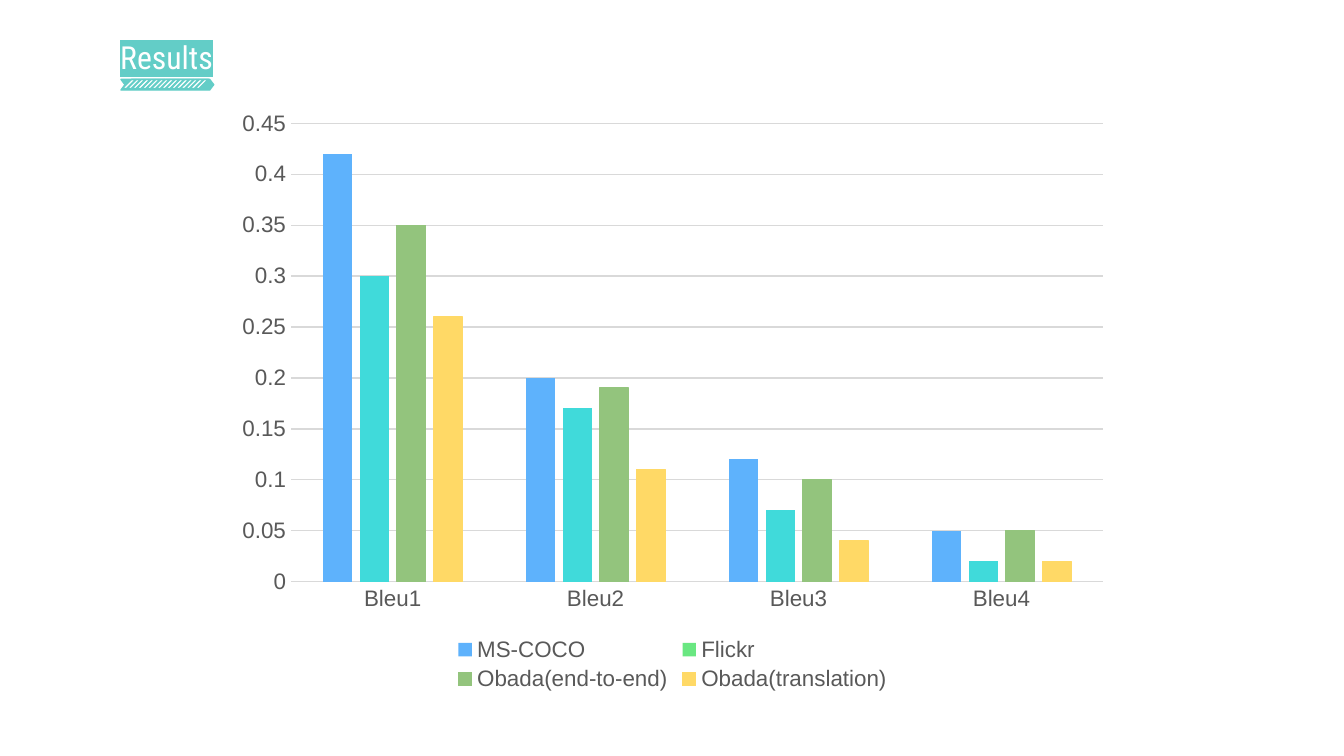
from lxml.etree import SubElement
from pptx import Presentation
from pptx.chart.data import CategoryChartData
from pptx.dml.color import RGBColor
from pptx.enum.chart import XL_CHART_TYPE as ChartType, XL_LEGEND_POSITION as LegendPosition, XL_TICK_MARK as TickMark
from pptx.enum.text import MSO_ANCHOR as Anchor, PP_ALIGN as Align
from pptx.oxml.ns import qn
from pptx.util import Inches, Pt

TEAL = "63CDC7"
GRAY = "595959"
GRID = "D9D9D9"
METRICS = ["Bleu1", "Bleu2", "Bleu3", "Bleu4"]
SCORES = [
    ("MS-COCO", [0.42, 0.2, 0.12, 0.05], "5EB2FC"),
    ("Flickr", [0.3, 0.17, 0.07, 0.02], "69E781"),
    ("Obada(end-to-end)", [0.35, 0.19, 0.1, 0.05], "93C47D"),
    ("Obada(translation)", [0.26, 0.11, 0.04, 0.02], "FFD966"),
]
FLICKR_BARS = "40DADA"
OUTLINED = ("Obada(end-to-end)", "Obada(translation)")


def rgb(code):
    """Turn a hex string into a colour."""
    return RGBColor.from_string(code)


def paint(part, code):
    """Give a fill one solid colour."""
    part.fill.solid()
    part.fill.fore_color.rgb = rgb(code)


def stroke(line, code):
    """Draw a line in one colour at the common width."""
    line.color.rgb = rgb(code)
    line.width = Pt(0.75)


def style_font(font, size, code, name="Arial"):
    """Set size, colour and typeface of a font."""
    font.size = Pt(size)
    font.color.rgb = rgb(code)
    font.name = name


def add_heading(slide, text):
    """Add the centred heading with its highlighted words."""
    heading = slide.shapes.add_textbox(Inches(0.52), Inches(0.24), Inches(1.44), Inches(0.36))
    frame = heading.text_frame
    frame.word_wrap = True
    frame.vertical_anchor = Anchor.MIDDLE
    frame.margin_left = frame.margin_right = Inches(0.1)
    frame.margin_top = frame.margin_bottom = Inches(0.1)
    frame.text = text
    paragraph = frame.paragraphs[0]
    paragraph.alignment = Align.CENTER
    words = paragraph.runs[0]
    style_font(words.font, 17, "FFFFFF", "Roboto Condensed")
    properties = words.font.fill._xPr
    highlight = SubElement(properties, qn("a:highlight"))
    SubElement(highlight, qn("a:srgbClr"), val=TEAL)
    properties.find(qn("a:solidFill")).addnext(highlight)


def add_ribbon(slide):
    """Add the notched ribbon with evenly spaced slanted slits."""
    outline = [(0.9, 0.59), (0.93, 0.63), (0.9, 0.67), (1.56, 0.67), (1.59, 0.63), (1.56, 0.59)]
    lefts = [0.98 + 0.036 * step for step in range(16)]
    slits = [[(x, 0.59), (x + 0.03, 0.59), (x - 0.04, 0.66), (x - 0.07, 0.66)] for x in lefts]
    contours = [[(Inches(x), Inches(y)) for x, y in contour] for contour in [outline] + slits]
    builder = slide.shapes.build_freeform(*contours[0][0])
    builder.add_line_segments(contours[0][1:])
    for contour in contours[1:]:
        builder.move_to(*contour[0])
        builder.add_line_segments(contour[1:])
    ribbon = builder.convert_to_shape()
    ribbon.shadow.inherit = False
    paint(ribbon, TEAL)
    stroke(ribbon.line, TEAL)


def style_axes(chart):
    """Format the category axis, the score axis and its grid."""
    metrics, scores = chart.category_axis, chart.value_axis
    for axis in (metrics, scores):
        axis.major_tick_mark = axis.minor_tick_mark = TickMark.NONE
        style_font(axis.tick_labels.font, 12, GRAY)
    stroke(metrics.format.line, GRID)
    scores.format.line.fill.background()
    scores.minimum_scale, scores.maximum_scale, scores.major_unit = 0, 0.45, 0.05
    scores.has_major_gridlines = True
    stroke(scores.major_gridlines.format.line, GRID)


def add_score_chart(slide):
    """Add the clustered columns that compare the scores."""
    data = CategoryChartData()
    data.categories = METRICS
    for name, values, _ in SCORES:
        data.add_series(name, values)
    chart = slide.shapes.add_chart(
        ChartType.COLUMN_CLUSTERED, Inches(1.67), Inches(0.74), Inches(6.67), Inches(4.44), data
    ).chart
    style_font(chart.font, 10, "000000")
    chart.has_title = False
    chart.has_legend = True
    chart.legend.position = LegendPosition.BOTTOM
    chart.legend.include_in_layout = False
    style_font(chart.legend.font, 12, GRAY)
    style_axes(chart)
    plot = chart.plots[0]
    plot.gap_width, plot.overlap = 219, -27
    plot.vary_by_categories = False
    for series, (name, values, color) in zip(plot.series, SCORES):
        series.invert_if_negative = False
        paint(series.format, color)
        if name in OUTLINED:
            stroke(series.format.line, color)
        if name == "Flickr":
            for index in range(len(values)):
                paint(series.points[index].format, FLICKR_BARS)


def main():
    """Build and save the results slide."""
    deck = Presentation()
    deck.slide_width = Inches(10)
    deck.slide_height = deck.slide_width * 9 // 16
    slide = deck.slides.add_slide(deck.slide_layouts[6])
    add_score_chart(slide)
    add_heading(slide, "Results")
    add_ribbon(slide)
    deck.save("out.pptx")


if __name__ == "__main__":
    main()
